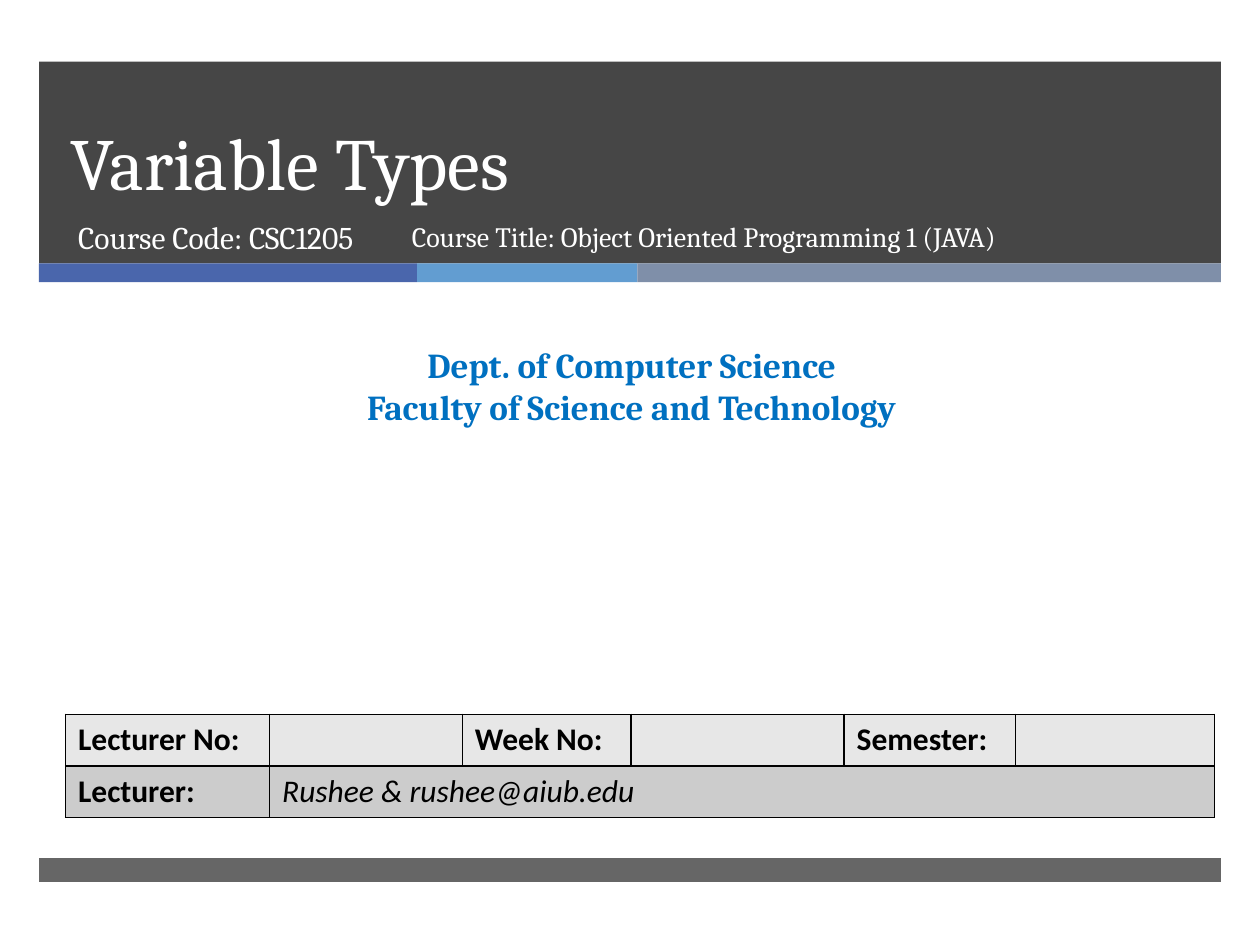
"""Build the opening slide of a lecture on variable types."""
from lxml import etree
from pptx import Presentation
from pptx import util as u
from pptx.dml.color import RGBColor
from pptx.enum import shapes, text
from pptx.oxml.ns import qn

CHARCOAL = RGBColor(0x26, 0x26, 0x26)
INDIGO = RGBColor(0x4A, 0x66, 0xAC)
SKY = RGBColor(0x62, 0x9D, 0xD1)
SLATE = RGBColor(0x7F, 0x8F, 0xA9)
BLUE = RGBColor(0x00, 0x70, 0xC0)
WHITE = RGBColor(0xFF, 0xFF, 0xFF)
BLACK = RGBColor(0, 0, 0)
LIGHT = RGBColor(0xE7, 0xE7, 0xE7)
MEDIUM = RGBColor(0xCC, 0xCC, 0xCC)

TOPIC = "Variable Types"
COURSE_CODE = "Course Code: CSC1205"
COURSE_TITLE = "Course Title: Object Oriented Programming 1 (JAVA)"
DEPARTMENT = ["Dept. of Computer Science", "Faculty of Science and Technology"]
DETAILS = [
    ["Lecturer No:", "", "Week No:", "", "Semester:", ""],
    ["Lecturer:", "Rushee & rushee@aiub.edu"],
]
ROW_FILLS = [LIGHT, MEDIUM]
COLUMNS = [1.62, 1.53, 1.34, 1.69, 1.36, 1.58]
ROW_HEIGHT = 0.41
MARGIN, BAND_WIDTH = 0.31, 9.38
STRIPES = [(3, INDIGO), (1.75, SKY), (4.63, SLATE)]


def inches(*lengths):
    return [u.Inches(length) for length in lengths]


def write(frame, lines, size=18, color=WHITE, font="Cambria", bold=False,
          italic=False, align=text.PP_ALIGN.LEFT, spacing=None):
    for i, line in enumerate(lines):
        paragraph = frame.add_paragraph() if i else frame.paragraphs[0]
        paragraph.text = line
        paragraph.alignment = align
        paragraph.space_before = u.Pt(0)
        if spacing:
            paragraph.line_spacing = u.Pt(spacing)
        style = paragraph.font
        style.name, style.size, style.bold, style.italic = font, u.Pt(size), bold, italic
        style.color.rgb = color


def place(holder, box, anchor=text.MSO_ANCHOR.TOP):
    holder.left, holder.top, holder.width, holder.height = inches(*box)
    frame = holder.text_frame
    frame.word_wrap = True
    frame.auto_size = text.MSO_AUTO_SIZE.NONE
    frame.vertical_anchor = anchor
    return frame


def add_band(slide, box, color, opacity=100):
    band = slide.shapes.add_shape(shapes.MSO_SHAPE.RECTANGLE, *inches(*box))
    band.shadow.inherit = False
    band.line.fill.background()
    band.fill.solid()
    band.fill.fore_color.rgb = color
    if opacity < 100:
        tint = band._element.spPr.find(qn("a:solidFill"))[0]
        etree.SubElement(tint, qn("a:alpha"), val=str(opacity * 1000))


def add_textbox(slide, box):
    return place(slide.shapes.add_textbox(*inches(*box)), box)


def add_borders(cell):
    properties = cell._tc.get_or_add_tcPr()
    for side in ("lnL", "lnR", "lnT", "lnB"):
        edge = etree.SubElement(properties, qn(f"a:{side}"), w=str(u.Pt(1)))
        paint = etree.SubElement(edge, qn("a:solidFill"))
        etree.SubElement(paint, qn("a:srgbClr"), val=str(BLACK))


def add_details(slide):
    table = slide.shapes.add_table(
        len(DETAILS), len(COLUMNS),
        *inches(0.52, 5.67, sum(COLUMNS), ROW_HEIGHT * len(DETAILS))).table
    table.first_row = table.horz_banding = False
    for column, width in zip(table.columns, COLUMNS):
        column.width = u.Inches(width)
    for r, (labels, fill) in enumerate(zip(DETAILS, ROW_FILLS)):
        table.rows[r].height = u.Inches(ROW_HEIGHT)
        for c in range(len(COLUMNS)):
            cell = table.cell(r, c)
            add_borders(cell)
            cell.fill.solid()
            cell.fill.fore_color.rgb = fill
            if c < len(labels):
                is_label = c % 2 == 0
                write(cell.text_frame, [labels[c]], color=BLACK, font="Calibri",
                      bold=is_label, italic=not is_label)
    table.cell(1, 1).merge(table.cell(1, len(COLUMNS) - 1))


def main():
    deck = Presentation()
    deck.slide_width, deck.slide_height = inches(10, 7.5)
    slide = deck.slides.add_slide(deck.slide_layouts[0])
    topic, code = slide.placeholders

    add_band(slide, (MARGIN, 0.49, BAND_WIDTH, 1.6), CHARCOAL, 85)
    left = MARGIN
    for width, color in STRIPES:
        add_band(slide, (left, 2.09, width, 0.15), color)
        left += width
    add_band(slide, (MARGIN, 6.81, BAND_WIDTH, 0.19), CHARCOAL, 70)

    for holder in (topic, code):
        slide.shapes._spTree.append(holder._element)
    write(place(topic, (0.46, 0.49, 8.54, 1.19), text.MSO_ANCHOR.BOTTOM),
          [TOPIC], size=42, spacing=46)
    write(place(code, (0.52, 1.68, 3.05, 0.53)), [COURSE_CODE])
    write(add_textbox(slide, (0.08, 2.68, 9.87, 0.77)), DEPARTMENT,
          size=20, color=BLUE, bold=True, align=text.PP_ALIGN.CENTER)
    add_details(slide)
    write(add_textbox(slide, (3.17, 1.69, 5.25, 0.53)), [COURSE_TITLE], size=16)
    deck.save("out.pptx")


if __name__ == "__main__":
    main()
